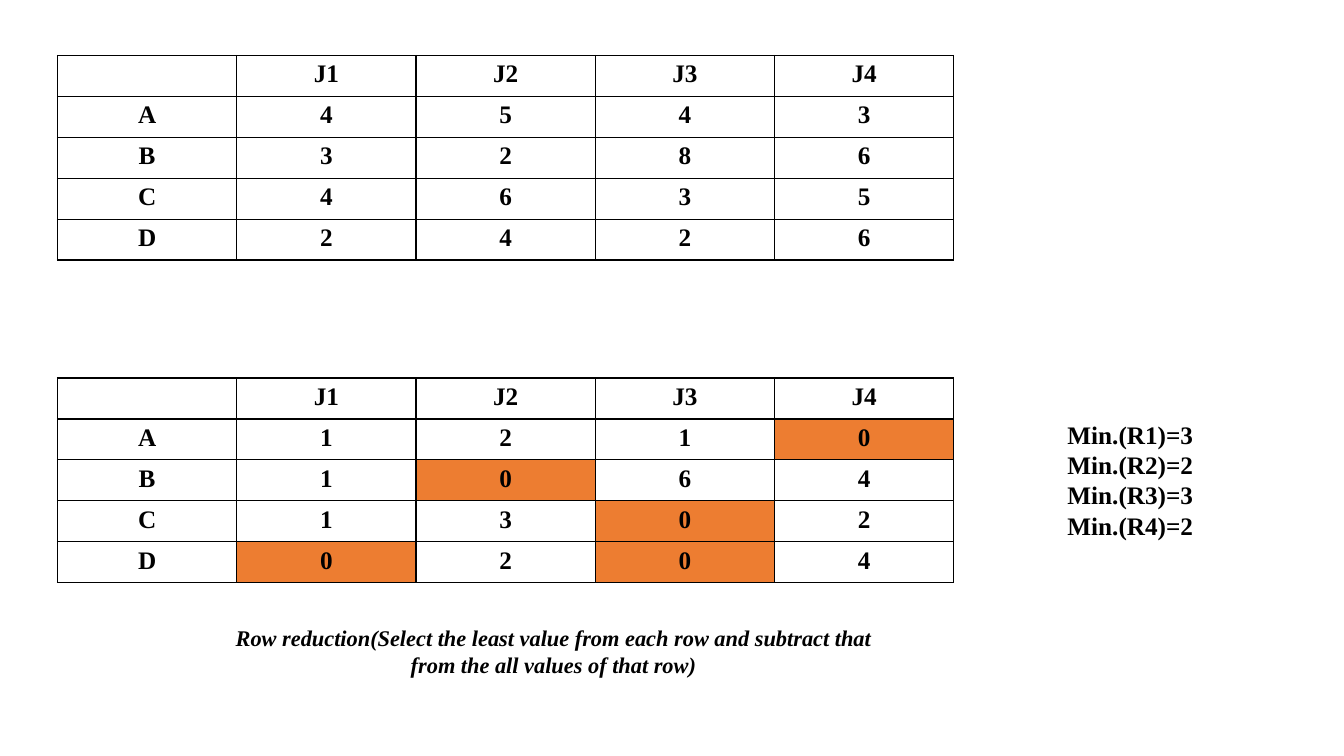
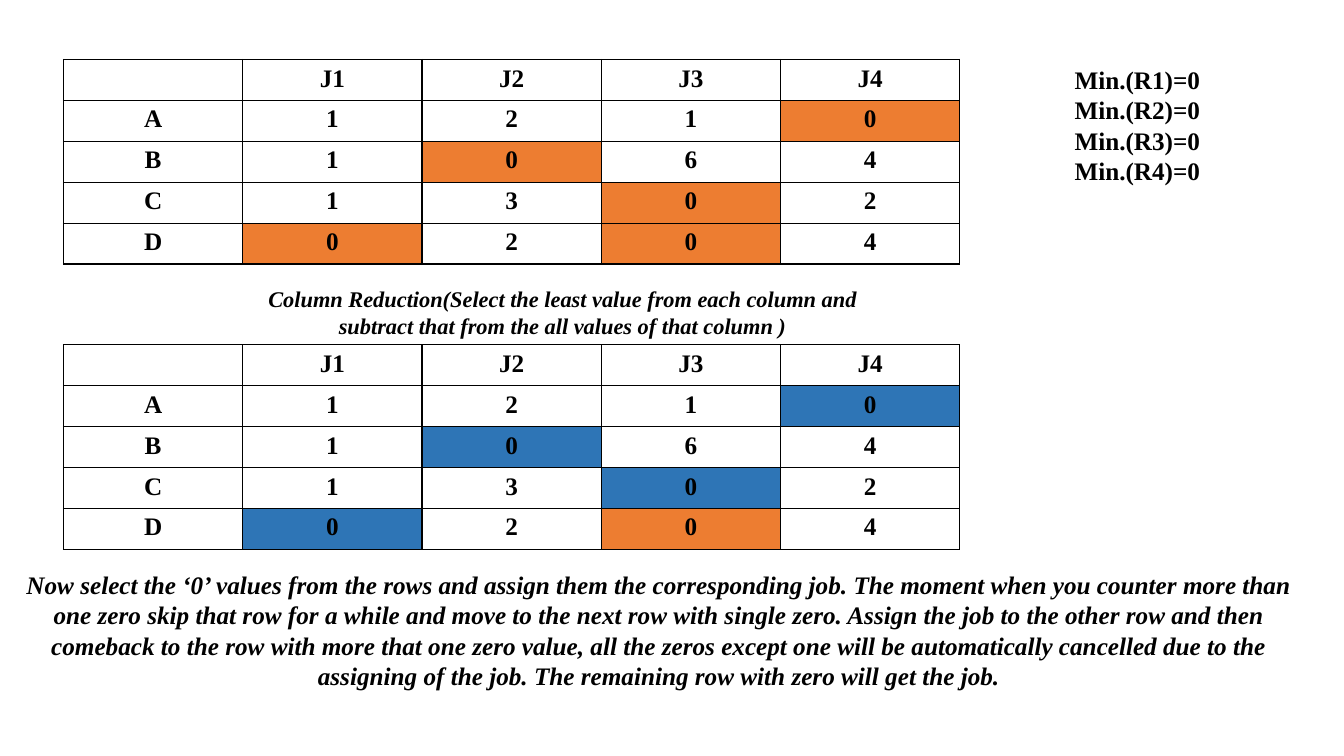
from dataclasses import dataclass
from lxml.etree import SubElement
from pptx import Presentation
from pptx.dml.color import RGBColor
from pptx.enum.text import MSO_ANCHOR, PP_ALIGN
from pptx.oxml.ns import qn
from pptx.util import Inches, Pt


@dataclass(frozen=True)
class Theme:
    font: str = "Times New Roman"
    ink: str = "000000"
    paper: str = "FFFFFF"
    zero: str = "ED7D31"
    assigned: str = "2E75B6"
    body: int = 18
    caption: int = 16
    border: int = 1


THEME = Theme()

# Content
JOBS = ["J1", "J2", "J3", "J4"]
WORKERS = ["A", "B", "C", "D"]
COSTS = [[4, 5, 4, 3], [3, 2, 8, 6], [4, 6, 3, 5], [2, 4, 2, 6]]
REDUCED = [[1, 2, 1, 0], [1, 0, 6, 4], [1, 3, 0, 2], [0, 2, 0, 4]]
ASSIGNMENT = {"A": "J4", "B": "J2", "C": "J3", "D": "J1"}
ROW_MINIMA = [3, 2, 3, 2]
COLUMN_MINIMA = [0, 0, 0, 0]
ROW_STEP = ("Row reduction(Select the least value from each row and subtract "
            "that from the all values of that row)")
COLUMN_STEP = ("Column Reduction(Select the least value from each column and "
               "subtract that from the all values of that column )")
ASSIGNING_STEP = (
    "Now select the ‘0’ values from the rows and assign them the corresponding job. "
    "The moment when you counter more than one zero skip that row for a while and "
    "move to the next row with single zero. Assign the job to the other row and then "
    "comeback to the row with more that one zero value, all the zeros except one will "
    "be automatically cancelled due to the assigning of the job. The remaining row "
    "with zero will get the job.")

# Each slide: matrices (left, top, values, assignment), notes (box, lines, size, italic)
SLIDES = [
    {"matrices": [(0.57, 0.55, COSTS, {}), (0.57, 3.75, REDUCED, {})],
     "notes": [((2.08, 6.14, 6.82, 0.64), [ROW_STEP], THEME.caption, True)],
     "minima": ((9.65, 4.11, 3.12, 1.31), ROW_MINIMA)},
    {"matrices": [(0.63, 0.59, REDUCED, {}), (0.63, 3.42, REDUCED, ASSIGNMENT)],
     "notes": [((2.17, 2.78, 6.82, 0.64), [COLUMN_STEP], THEME.caption, True),
               ((0, 5.6, 13.07, 1.31), [ASSIGNING_STEP], THEME.body, True)],
     "minima": ((9.72, 0.59, 3.12, 1.31), COLUMN_MINIMA)},
]
MATRIX_SIZE = (8.89, 2.03)


def write(paragraph, text, size, italic=False):
    paragraph.alignment = PP_ALIGN.CENTER
    run = paragraph.add_run()
    run.text = text
    style = {"name": THEME.font, "size": Pt(size), "bold": True, "italic": italic}
    for attribute, value in style.items():
        setattr(run.font, attribute, value)
    run.font.color.rgb = RGBColor.from_string(THEME.ink)


def add_note(slide, box, lines, size, italic):
    frame = slide.shapes.add_textbox(*map(Inches, box)).text_frame
    frame.word_wrap = True
    for index, line in enumerate(lines):
        paragraph = frame.add_paragraph() if index else frame.paragraphs[0]
        write(paragraph, line, size, italic)


def add_borders(cell):
    properties = cell._tc.get_or_add_tcPr()
    for side in ("lnL", "lnR", "lnT", "lnB"):
        line = SubElement(properties, qn(f"a:{side}"), w=str(Pt(THEME.border)))
        fill = SubElement(line, qn("a:solidFill"))
        SubElement(fill, qn("a:srgbClr"), val=THEME.ink)


def cell_colour(worker, job, text, assignment):
    if text != "0":
        return THEME.paper
    return THEME.assigned if assignment.get(worker) == job else THEME.zero


def add_matrix(slide, left, top, values, assignment):
    grid = [["", *JOBS]]
    grid += [[worker, *map(str, row)] for worker, row in zip(WORKERS, values)]
    table = slide.shapes.add_table(
        len(grid), len(grid[0]), *map(Inches, (left, top, *MATRIX_SIZE))).table
    table.first_row = table.horz_banding = False
    for r, row in enumerate(grid):
        for c, text in enumerate(row):
            cell = table.cell(r, c)
            cell.vertical_anchor = MSO_ANCHOR.TOP
            add_borders(cell)
            cell.fill.solid()
            cell.fill.fore_color.rgb = RGBColor.from_string(
                cell_colour(row[0], grid[0][c], text, assignment))
            if text:
                write(cell.text_frame.paragraphs[0], text, THEME.body)


# Build the slides
deck = Presentation()
deck.slide_width, deck.slide_height = Inches(13.33), Inches(7.5)
for content in SLIDES:
    slide = deck.slides.add_slide(deck.slide_layouts[6])
    for matrix in content["matrices"]:
        add_matrix(slide, *matrix)
    for note in content["notes"]:
        add_note(slide, *note)
    minima_box, minima = content["minima"]
    minima_lines = [f"Min.(R{n})={value}" for n, value in enumerate(minima, 1)]
    add_note(slide, minima_box, minima_lines, THEME.body, False)
deck.save("out.pptx")
